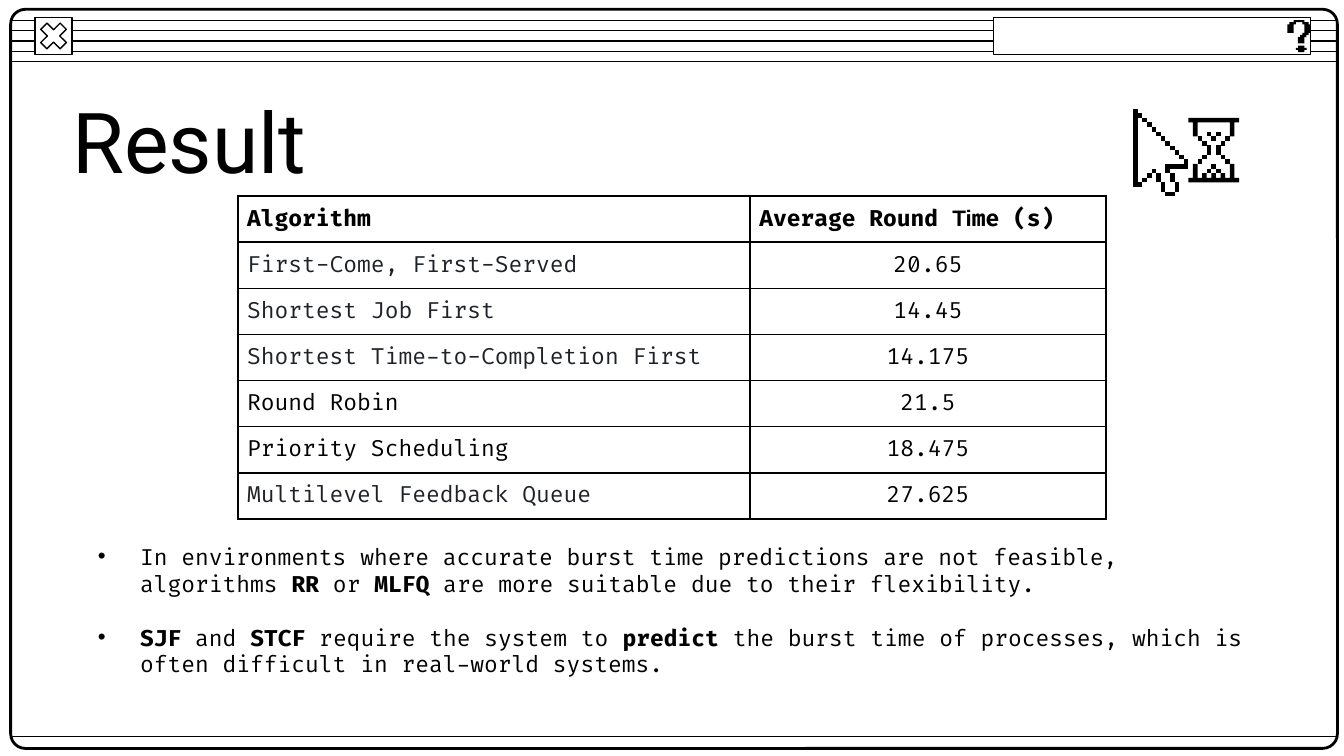
from lxml import etree
from pptx import Presentation
from pptx.dml.color import RGBColor
from pptx.enum.shapes import MSO_CONNECTOR, MSO_SHAPE
from pptx.enum.text import MSO_ANCHOR, PP_ALIGN
from pptx.oxml.ns import qn
from pptx.util import Pt

LINE = MSO_CONNECTOR.STRAIGHT
RECTANGLE = MSO_SHAPE.RECTANGLE
ROUNDED = MSO_SHAPE.ROUNDED_RECTANGLE
CROSS = MSO_SHAPE.MATH_MULTIPLY
MIDDLE = MSO_ANCHOR.MIDDLE
LEFT, CENTER = PP_ALIGN.LEFT, PP_ALIGN.CENTER

COLORS = {"ink": "000000", "paper": "FFFFFF", "slate": "1F2328"}
BODY_FONT, TITLE_FONT, NARROW_FONT = "Fira Code", "Roboto", "Arial"

HEADER = ("Algorithm", "Average Round Time (s)")
RESULTS = [
    ("First-Come, First-Served", "20.65", "slate"),
    ("Shortest Job First", "14.45", "slate"),
    ("Shortest Time-to-Completion First", "14.175", "slate"),
    ("Round Robin", "21.5", "ink"),
    ("Priority Scheduling", "18.475", "ink"),
    ("Multilevel Feedback Queue", "27.625", "slate"),
]
FINDINGS = [
    "In environments where accurate burst time predictions are not feasible, "
    "algorithms **RR** or **MLFQ** are more suitable due to their flexibility.",
    "**SJF** and **STCF** require the system to **predict** the burst time of "
    "processes, which is often difficult in real-world systems.",
]

QUESTION_HOOK = [
    (3, 0), (3, 1), (1, 1), (1, 2), (0, 2), (0, 6), (3, 6), (3, 2), (4, 2), (4, 1), (7, 1),
    (7, 2), (8, 2), (8, 6), (7, 6), (7, 7), (6, 7), (6, 8), (5, 8), (5, 11), (8, 11), (8, 8),
    (9, 8), (9, 7), (10, 7), (10, 6), (11, 6), (11, 2), (10, 2), (10, 1), (8, 1), (8, 0)]
QUESTION_DOT = [(5, 12), (5, 13), (4, 13), (4, 14), (5, 14), (5, 15),
                (8, 15), (8, 14), (9, 14), (9, 13), (8, 13), (8, 12)]
ARROW_TAIL = [
    (0, 0), (0, 17), (2, 17), (2, 16), (3, 16), (3, 15), (4, 15), (4, 14), (5, 14), (5, 16),
    (6, 16), (6, 18), (7, 18), (7, 19), (9, 19), (9, 18), (10, 18), (10, 16), (9, 16),
    (9, 14), (8, 14), (8, 13), (12, 13), (12, 11)]
ARROW_BLOCKS = [
    (0, 0, 1, 17), (7, 12, 5, 1), (7, 13, 1, 1), (4, 13, 1, 1), (5, 14, 1, 2), (6, 16, 1, 2),
    (7, 18, 2, 1), (8, 14, 1, 2), (9, 16, 1, 2), (3, 14, 1, 1), (2, 15, 1, 1), (1, 16, 1, 1)]
GLASS_WIDTH = 11
GLASS_HALF = [
    (0, 0), (0, 1), (1, 1), (1, 4), (2, 4), (2, 5), (3, 5), (3, 6), (4, 6), (4, 8), (3, 8),
    (3, 9), (2, 9), (2, 10), (1, 10), (1, 13), (0, 13), (0, 14)]
GLASS_TOP_HALF = [(0, 0), (0, 1), (1, 1), (1, 4), (2, 4), (2, 1)]
GLASS_BASE_HALF = [(5, 12), (5, 13), (4, 13), (4, 12), (3, 12), (3, 13), (2, 13), (2, 10),
                   (1, 10), (1, 13), (0, 13), (0, 14)]
GLASS_SIDE_BLOCKS = [(2, 4, 1, 1), (3, 5, 1, 1), (4, 3, 1, 1), (4, 6, 1, 2), (3, 8, 1, 1),
                     (2, 9, 1, 1), (4, 11, 1, 1)]
GLASS_MIDDLE_BLOCKS = [(5, 4, 1, 1), (5, 10, 1, 1)]


def rgb(name):
    """Return the named colour."""
    return RGBColor.from_string(COLORS[name])


def write_text(paragraph, text, size=12, font=BODY_FONT, color="ink", bold=False, align=LEFT):
    """Append text to a paragraph, with parts between ** set in bold."""
    paragraph.alignment = align
    for index, part in enumerate(text.split("**")):
        if part:
            run = paragraph.add_run()
            run.text = part
            run.font.size = Pt(size)
            run.font.name = font
            run.font.bold = bold or index % 2 == 1
            run.font.color.rgb = rgb(color)


def add_box(slide, kind, box, fill=None, width=0.75, adjustment=None):
    """Add an outlined preset shape."""
    shape = slide.shapes.add_shape(kind, *map(Pt, box))
    shape.shadow.inherit = False
    if adjustment is not None:
        shape.adjustments[0] = adjustment
    if fill:
        shape.fill.solid()
        shape.fill.fore_color.rgb = rgb(fill)
    else:
        shape.fill.background()
    shape.line.color.rgb = rgb("ink")
    shape.line.width = Pt(width)


def add_rule(slide, left, top, width):
    """Add a thin horizontal line."""
    rule = slide.shapes.add_connector(LINE, Pt(left), Pt(top), Pt(left + width), Pt(top))
    rule.line.color.rgb = rgb("ink")
    rule.line.width = Pt(0.75)
    etree.SubElement(rule._element.spPr, qn("a:effectLst"))


def add_outline(slide, left, top, unit, points, fill="ink"):
    """Add a filled outline whose points lie on a pixel grid."""
    builder = slide.shapes.build_freeform(*points[0], scale=Pt(unit))
    builder.add_line_segments(points[1:], close=True)
    shape = builder.convert_to_shape(Pt(left), Pt(top))
    shape.shadow.inherit = False
    shape.fill.solid()
    shape.fill.fore_color.rgb = rgb(fill)
    shape.line.fill.background()


def block_points(column, row, width, height):
    """Return the corners of a block of pixels."""
    right, bottom = column + width, row + height
    return [(column, row), (column, bottom), (right, bottom), (right, row)]


def mirrored(half):
    """Complete the left half of an hourglass outline with its reflection."""
    return half + [(GLASS_WIDTH - x, y) for x, y in reversed(half)]


def add_window(slide, left, top, width, height):
    """Draw the window frame with its title bar and buttons."""
    for index in range(5):
        add_rule(slide, left, top + 5.9 + index * 5.55, width)
    add_box(slide, ROUNDED, (left, top, width, height), width=1.5, adjustment=0.02)
    button = (left + 13, top + 4.3, 20, 20)
    add_box(slide, RECTANGLE, button, "paper")
    add_box(slide, CROSS, button, "paper", adjustment=0.235)
    add_rule(slide, left, top + height - 6.5, width)
    add_box(slide, RECTANGLE, (left + width - 184.4, top + 4.3, 170, 20), "paper")
    for points in (QUESTION_HOOK, QUESTION_DOT):
        add_outline(slide, left + width - 26.8, top + 5.8, 1.14, points)


def add_cursor(slide, left, top, unit):
    """Draw the pixel arrow with a waiting hourglass to its right."""
    stairs = [point for step in range(11, 0, -1) for point in ((step, step), (step, step - 1))]
    add_outline(slide, left, top, unit, ARROW_TAIL + stairs, "paper")
    for block in ARROW_BLOCKS + [(step, step, 1, 1) for step in range(1, 12)]:
        add_outline(slide, left, top, unit, block_points(*block))
    left, top = left + 12 * unit, top + 2 * unit
    add_outline(slide, left, top, unit, mirrored(GLASS_HALF), "paper")
    for half in (GLASS_TOP_HALF, GLASS_BASE_HALF):
        add_outline(slide, left, top, unit, mirrored(half))
    opposite = [(GLASS_WIDTH - x - w, y, w, h) for x, y, w, h in GLASS_SIDE_BLOCKS]
    for block in GLASS_SIDE_BLOCKS + opposite + GLASS_MIDDLE_BLOCKS:
        add_outline(slide, left, top, unit, block_points(*block))


def add_text_frame(slide, box, side, edge):
    """Add a wrapping text box with the given insets and return its frame."""
    frame = slide.shapes.add_textbox(*map(Pt, box)).text_frame
    frame.word_wrap = True
    frame.margin_left = frame.margin_right = Pt(side)
    frame.margin_top = frame.margin_bottom = Pt(edge)
    return frame


def add_title(slide, *box):
    """Add the slide title."""
    frame = add_text_frame(slide, box, 7.2, 7.2)
    frame.vertical_anchor = MIDDLE
    write_text(frame.paragraphs[0], "Result", size=45, font=TITLE_FONT)


def format_cell(cell):
    """Clear a cell's fill and give it even margins and black borders."""
    cell.margin_left = cell.margin_right = cell.margin_top = cell.margin_bottom = Pt(5)
    properties = cell._tc.get_or_add_tcPr()
    for side in ("a:lnL", "a:lnR", "a:lnT", "a:lnB"):
        border = etree.SubElement(properties, qn(side), w=str(Pt(1)))
        fill = etree.SubElement(border, qn("a:solidFill"))
        etree.SubElement(fill, qn("a:srgbClr"), val=COLORS["ink"])
    cell.fill.background()


def add_results(slide, left, top, width, height):
    """Add the table of average round times."""
    count = len(RESULTS) + 1
    table = slide.shapes.add_table(count, 2, *map(Pt, (left, top, width, height))).table
    table.first_row = table.horz_banding = False
    table.columns[0].width, table.columns[1].width = Pt(width * 0.59), Pt(width * 0.41)
    for row in table.rows:
        row.height = Pt(height / count)
    for cell in table.iter_cells():
        format_cell(cell)
    write_text(table.cell(0, 0).text_frame.paragraphs[0], HEADER[0], bold=True)
    before, after = HEADER[1].split("Ti")
    for text, font in ((before, BODY_FONT), ("Ti", NARROW_FONT), (after, BODY_FONT)):
        write_text(table.cell(0, 1).text_frame.paragraphs[0], text, font=font, bold=True)
    for index, (algorithm, seconds, color) in enumerate(RESULTS, 1):
        write_text(table.cell(index, 0).text_frame.paragraphs[0], algorithm, color=color)
        write_text(table.cell(index, 1).text_frame.paragraphs[0], seconds, align=CENTER)


def add_findings(slide, *box):
    """Add the bulleted findings."""
    frame = add_text_frame(slide, box, 7.2, 3.6)
    for index, text in enumerate(FINDINGS):
        paragraph = frame.add_paragraph() if index else frame.paragraphs[0]
        properties = paragraph._p.get_or_add_pPr()
        properties.set("marL", str(Pt(22.5)))
        properties.set("indent", str(Pt(-22.5)))
        etree.SubElement(properties, qn("a:buFont"), typeface=NARROW_FONT)
        etree.SubElement(properties, qn("a:buChar"), char="•")
        if index:
            paragraph.space_before = Pt(14.5)
        write_text(paragraph, text)


def main():
    """Build and save the slide."""
    presentation = Presentation()
    presentation.slide_width, presentation.slide_height = Pt(720), Pt(405)
    slide = presentation.slides.add_slide(presentation.slide_layouts[6])
    add_window(slide, 5.7, 5, 710.8, 396)
    add_title(slide, 31.7, 49.7, 367, 51)
    add_cursor(slide, 607, 58.2, 2.47)
    add_results(slide, 127.4, 105.1, 465.1, 173)
    add_findings(slide, 45.4, 287.3, 638, 80)
    presentation.save("out.pptx")


if __name__ == "__main__":
    main()
